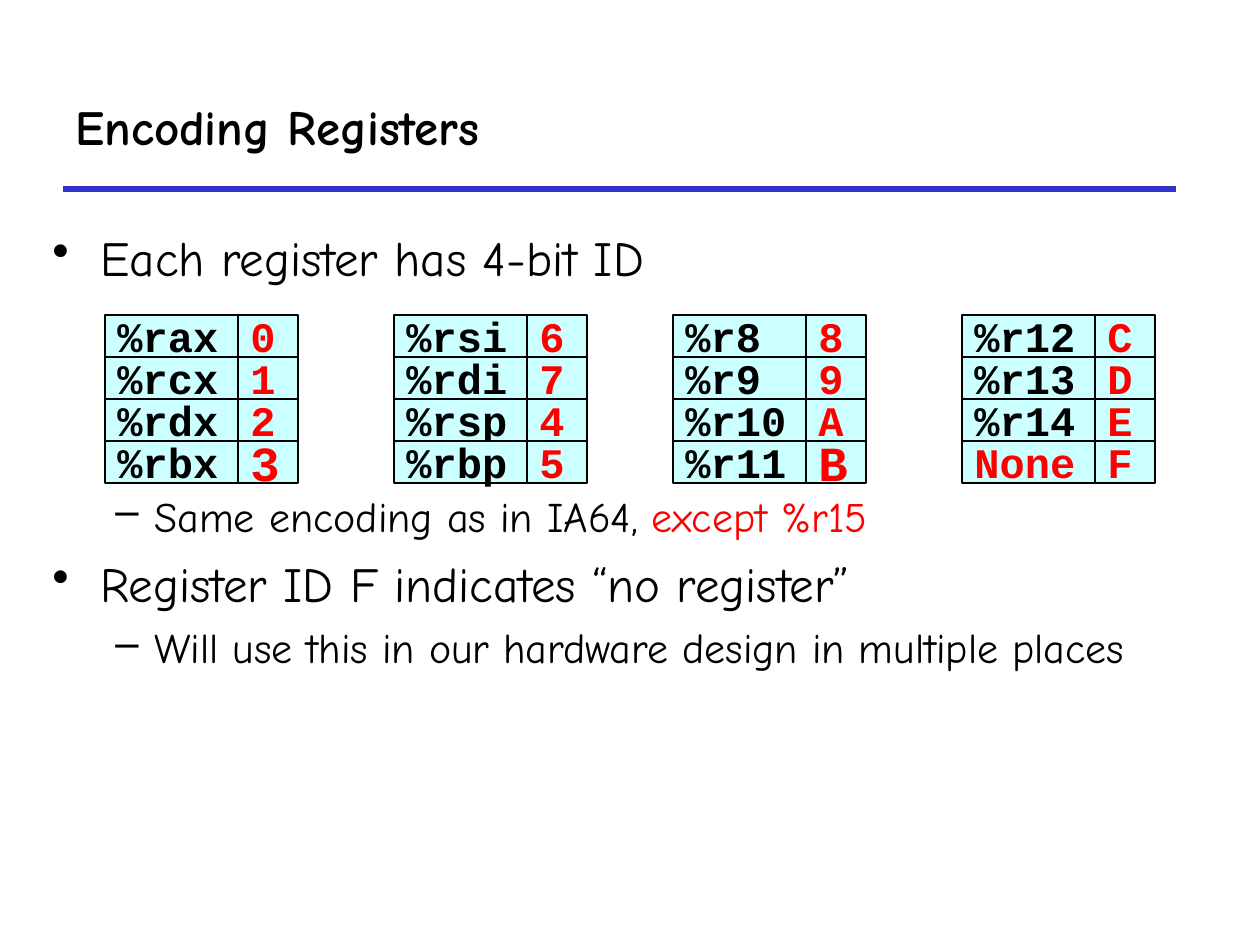
from dataclasses import dataclass
from typing import Any

from lxml import etree
from pptx import Presentation
from pptx import util as u
from pptx.dml import color
from pptx.enum import shapes, text
from pptx.oxml import ns

PX = 914400 / 126
COLORS = {"ink": "000000", "accent": "FF0000", "cell": "CCFFFF", "rule": "3333CC"}
BODY_FONT = "Comic Neue"
CODE_FONT = "Courier New"
LEVELS = (
    {"mark": "•", "margin": 48, "indent": -48, "size": 28},
    {"mark": "–", "margin": 102, "indent": -39, "size": 24},
)
BULLETS = (
    (0, 0, (("Each register has 4-bit ID", "ink"),)),
    (1, 117, (("Same encoding as in IA64, ", "ink"), ("except %r15", "accent"))),
    (0, 7, (("Register ID F indicates “no register”", "ink"),)),
    (1, 5.5, (("Will use this in our hardware design in multiple places", "ink"),)),
)
REGISTER_GROUPS = (
    (
        (105, ("%rax", "%rcx", "%rdx", "%rbx"), "0123"),
        (394, ("%rsi", "%rdi", "%rsp", "%rbp"), "6745"),
    ),
    (
        (673, ("%r8", "%r9", "%r10", "%r11"), "89AB"),
        (962, ("%r12", "%r13", "%r14", "None"), "CDEF"),
    ),
)
LARGE_IDS = "3B"
TABLE_TOP, ROW_HEIGHT, NAME_WIDTH, ID_WIDTH = 315, 42, 133, 60


def emu(*lengths):
    return [u.Emu(round(length * PX)) for length in lengths]


def rgb(name):
    return color.RGBColor.from_string(COLORS[name])


def apply(target, **values):
    for name, value in values.items():
        setattr(target, name, value)


@dataclass
class SlideBuilder:
    page: Any

    def span(self, para, words, tint, **values):
        span = para.add_run()
        span.text = words
        apply(span.font, **values)
        span.font.color.rgb = rgb(tint)

    def title(self, words, *area):
        box = self.page.shapes.title
        left, top, width, height = emu(*area)
        apply(box, left=left, top=top, width=width, height=height)
        apply(box.text_frame, vertical_anchor=text.MSO_ANCHOR.MIDDLE, word_wrap=True)
        para = box.text_frame.paragraphs[0]
        para.alignment = text.PP_ALIGN.LEFT
        self.span(para, words, "ink", name=BODY_FONT, size=u.Pt(28), bold=True)

    def rule(self, *ends):
        line = self.page.shapes.add_connector(shapes.MSO_CONNECTOR.STRAIGHT, *emu(*ends))
        line.line.color.rgb = rgb("rule")
        line.line.width = u.Pt(3)
        etree.SubElement(line._element.spPr, ns.qn("a:effectLst"))

    def bullets(self, items, *area):
        box = self.page.shapes.add_textbox(*emu(*area))
        box.text_frame.word_wrap = True
        for number, (level, gap, pieces) in enumerate(items):
            frame = box.text_frame
            para = frame.add_paragraph() if number else frame.paragraphs[0]
            style = LEVELS[level]
            apply(para, level=level, space_before=u.Pt(gap))
            settings = para._p.get_or_add_pPr()
            for key, length in (("marL", style["margin"]), ("indent", style["indent"])):
                settings.set(key, str(emu(length)[0]))
            etree.SubElement(settings, ns.qn("a:buChar"), char=style["mark"])
            for words, tint in pieces:
                self.span(para, words, tint, name=BODY_FONT, size=u.Pt(style["size"]))

    def cell(self, group, words, tint, size, *area):
        box = group.shapes.add_shape(shapes.MSO_SHAPE.RECTANGLE, *emu(*area))
        box.shadow.inherit = False
        box.fill.solid()
        box.fill.fore_color.rgb = rgb("cell")
        box.line.color.rgb = rgb("ink")
        box.line.width = u.Pt(1)
        apply(box.text_frame, vertical_anchor=text.MSO_ANCHOR.MIDDLE, word_wrap=False)
        para = box.text_frame.paragraphs[0]
        para.alignment = text.PP_ALIGN.LEFT
        self.span(para, words, tint, name=CODE_FONT, size=u.Pt(size), bold=True)

    def registers(self, columns):
        group = self.page.shapes.add_group_shape()
        for left, names, ids in columns:
            for row, (name, code) in enumerate(zip(names, ids)):
                top = TABLE_TOP + row * ROW_HEIGHT
                tint = "accent" if name == "None" else "ink"
                size = 28 if code in LARGE_IDS else 24
                self.cell(group, name, tint, 24, left, top, NAME_WIDTH, ROW_HEIGHT)
                self.cell(group, code, "accent", size,
                          left + NAME_WIDTH, top, ID_WIDTH, ROW_HEIGHT)


def main():
    deck = Presentation()
    apply(deck, slide_width=u.Inches(10), slide_height=u.Inches(7.5))
    builder = SlideBuilder(deck.slides.add_slide(deck.slide_layouts[5]))
    builder.rule(63, 189, 1176, 189)
    builder.title("Encoding Registers", 63, 63, 1113, 126)
    builder.bullets(BULLETS, 40, 221, 1167, 668)
    for columns in REGISTER_GROUPS:
        builder.registers(columns)
    deck.save("out.pptx")


if __name__ == "__main__":
    main()
